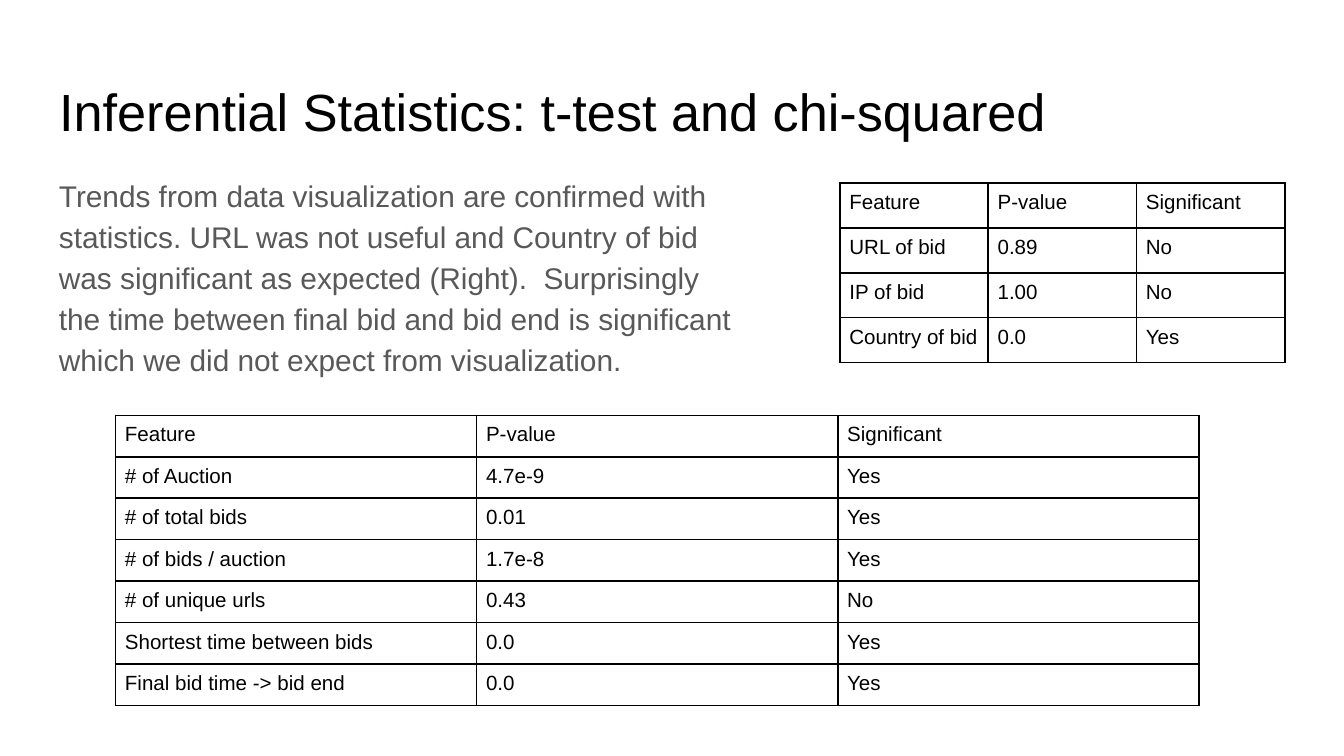
from dataclasses import dataclass

from lxml import etree
from pptx import Presentation
from pptx.dml.color import RGBColor
from pptx.enum import text as t
from pptx.oxml import ns
from pptx.util import Inches, Pt

BLACK = RGBColor(0x00, 0x00, 0x00)
GRAY = RGBColor(0x59, 0x59, 0x59)
FONT = "Arial"
HEADER = ("Feature", "P-value", "Significant")
SLIDE_WIDTH = Inches(10)
SLIDE_HEIGHT = SLIDE_WIDTH * 9 // 16


@dataclass(frozen=True)
class ResultTable:
    left: float
    top: float
    width: float
    height: float
    results: tuple[tuple[str, str, str], ...]


TABLES = (
    ResultTable(0.86, 3.09, 8.06, 2.16, (
        ("# of Auction", "4.7e-9", "Yes"),
        ("# of total bids", "0.01", "Yes"),
        ("# of bids / auction", "1.7e-8", "Yes"),
        ("# of unique urls", "0.43", "No"),
        ("Shortest time between bids", "0.0", "Yes"),
        ("Final bid time -> bid end", "0.0", "Yes"),
    )),
    ResultTable(6.25, 1.36, 3.31, 1.34, (
        ("URL of bid", "0.89", "No"),
        ("IP of bid", "1.00", "No"),
        ("Country of bid", "0.0", "Yes"),
    )),
)


def set_attributes(target, **values) -> None:
    for name, value in values.items():
        setattr(target, name, value)


def set_margins(target, horizontal: float, vertical: float) -> None:
    set_attributes(target,
                   margin_left=Inches(horizontal), margin_right=Inches(horizontal),
                   margin_top=Inches(vertical), margin_bottom=Inches(vertical))


def write_text(frame, content: str, size: float, color: RGBColor):
    """Fill a text frame with one left-aligned paragraph and return it."""
    paragraph = frame.paragraphs[0]
    paragraph.alignment = t.PP_ALIGN.LEFT
    run = paragraph.add_run()
    run.text = content
    set_attributes(run.font, name=FONT, size=Pt(size), bold=False)
    run.font.color.rgb = color
    return paragraph


def add_borders(cell, color: RGBColor, width: float) -> None:
    properties = cell._tc.get_or_add_tcPr()
    for position, side in enumerate(("lnL", "lnR", "lnT", "lnB")):
        line = etree.Element(ns.qn(f"a:{side}"), w=str(Pt(width)))
        fill = etree.SubElement(line, ns.qn("a:solidFill"))
        etree.SubElement(fill, ns.qn("a:srgbClr"), val=str(color))
        properties.insert(position, line)


def add_result_table(slide, spec: ResultTable) -> None:
    rows = (HEADER, *spec.results)
    table = slide.shapes.add_table(
        len(rows), len(HEADER), Inches(spec.left), Inches(spec.top),
        Inches(spec.width), Inches(spec.height)).table
    set_attributes(table, first_row=False, horz_banding=False)
    for row, values in zip(table.rows, rows):
        for cell, value in zip(row.cells, values):
            cell.fill.background()
            set_margins(cell, 0.07, 0.06)
            write_text(cell.text_frame, value, 11, BLACK)
            add_borders(cell, BLACK, 1)


def main() -> None:
    presentation = Presentation()
    set_attributes(presentation, slide_width=SLIDE_WIDTH, slide_height=SLIDE_HEIGHT)
    slide = presentation.slides.add_slide(presentation.slide_layouts[5])

    title = slide.shapes.title
    set_attributes(title, left=Inches(0.34), top=Inches(0.49),
                   width=Inches(9.32), height=Inches(0.63))
    summary = slide.shapes.add_textbox(
        Inches(0.34), Inches(1.18), Inches(5.31), Inches(3.74))
    for shape in (title, summary):
        set_attributes(shape.text_frame, word_wrap=True,
                       vertical_anchor=t.MSO_ANCHOR.TOP,
                       auto_size=t.MSO_AUTO_SIZE.NONE)
        set_margins(shape.text_frame, 0.1, 0.1)

    write_text(title.text_frame, "Inferential Statistics: t-test and chi-squared",
               28, BLACK)
    paragraph = write_text(
        summary.text_frame,
        "Trends from data visualization are confirmed with statistics. "
        "URL was not useful and Country of bid was significant as expected (Right).  "
        "Surprisingly the time between final bid and bid end is significant "
        "which we did not expect from visualization.",
        16, GRAY)
    set_attributes(paragraph, line_spacing=1.15, space_after=Pt(16))

    for spec in TABLES:
        add_result_table(slide, spec)
    presentation.save("out.pptx")


if __name__ == "__main__":
    main()
